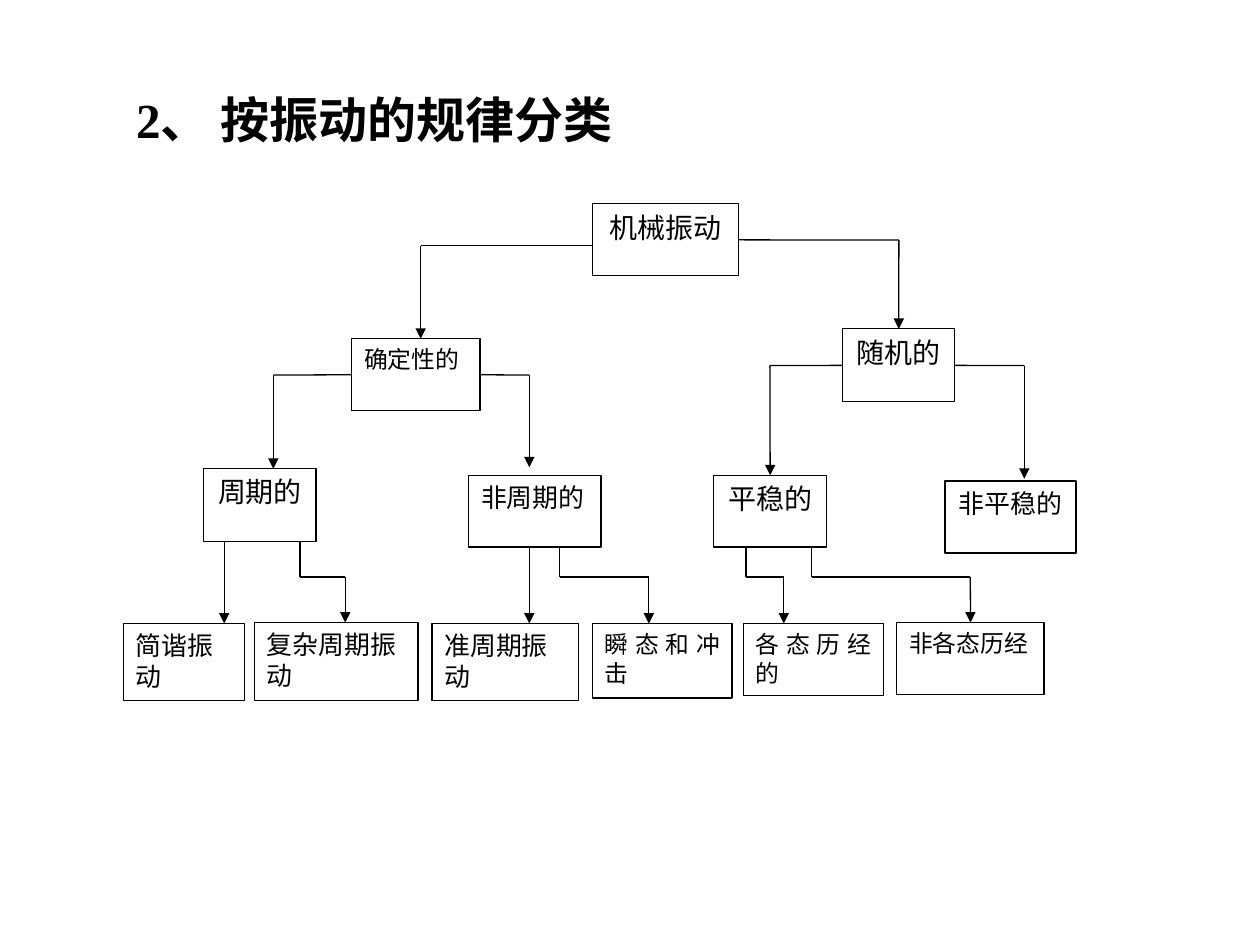
"""Build a slide with a tree that classifies mechanical vibration by its regularity."""
from dataclasses import dataclass
from itertools import pairwise

from lxml.etree import SubElement
from pptx import Presentation
from pptx.dml.color import RGBColor
from pptx.enum.shapes import MSO_CONNECTOR as Connector, MSO_SHAPE as Shape
from pptx.enum.text import MSO_ANCHOR as Anchor, MSO_AUTO_SIZE as AutoSize, PP_ALIGN as Align
from pptx.oxml.ns import qn
from pptx.util import Cm, Pt


@dataclass(frozen=True)
class Theme:
    font: str = "Times New Roman"
    ink: RGBColor = RGBColor(0, 0, 0)
    title: float = 28
    large: float = 16
    medium: float = 14.8
    small: float = 13.6
    line: float = 0.75


theme = Theme()
TOP, LEFT, RIGHT = 0, 1, 3


def style_text(para, size, align, bold=False):
    para.alignment = align
    para.font.name = theme.font
    para.font.size = Pt(size)
    para.font.bold = bold
    para.font.color.rgb = theme.ink


def add_line(page, start, end, arrow):
    line = page.shapes.add_connector(Connector.STRAIGHT, *map(Cm, start + end))
    line.line.color.rgb = theme.ink
    line.line.width = Pt(theme.line)
    if arrow:
        SubElement(line.line._get_or_add_ln(), qn("a:tailEnd"), type="triangle")
    SubElement(line._element.spPr, qn("a:effectLst"))
    return line


deck = Presentation()
deck.slide_width, deck.slide_height = Cm(25.4), Cm(19.05)
page = deck.slides.add_slide(deck.slide_layouts[5])

title = page.shapes.title
title.left, title.top, title.width, title.height = Cm(2.49), Cm(1.32), Cm(21.59), Cm(1.8)
title.text_frame.text = "2、 按振动的规律分类"
title.text_frame.auto_size = AutoSize.NONE
title.text_frame.vertical_anchor = Anchor.BOTTOM
style_text(title.text_frame.paragraphs[0], theme.title, Align.LEFT, bold=True)

nodes = [
    ("机械振动", 11.94, 4.11, 2.95, 1.45, theme.large, Align.CENTER),
    ("确定性的", 7.09, 6.83, 2.59, 1.45, theme.small, Align.LEFT),
    ("随机的", 16.99, 6.63, 2.26, 1.47, theme.large, Align.CENTER),
    ("周期的", 4.11, 9.45, 2.26, 1.47, theme.large, Align.CENTER),
    ("非周期的", 9.45, 9.58, 2.67, 1.45, theme.medium, Align.JUSTIFY),
    ("平稳的", 14.38, 9.58, 2.29, 1.45, theme.large, Align.CENTER),
    ("非平稳的", 19.05, 9.7, 2.64, 1.45, theme.medium, Align.CENTER),
    ("简谐振动", 2.49, 12.57, 2.44, 1.55, theme.medium, Align.LEFT),
    ("复杂周期振动", 5.13, 12.55, 3.3, 1.57, theme.medium, Align.LEFT),
    ("准周期振动", 8.71, 12.57, 2.95, 1.55, theme.medium, Align.LEFT),
    ("瞬态和冲击", 11.94, 12.57, 2.82, 1.5, theme.small, Align.JUSTIFY),
    ("各态历经的", 14.99, 12.57, 2.82, 1.45, theme.small, Align.JUSTIFY),
    ("非各态历经", 18.08, 12.55, 2.97, 1.45, theme.small, Align.JUSTIFY),
]
boxes = {}
for label, left, top, width, height, size, align in nodes:
    box = page.shapes.add_shape(Shape.RECTANGLE, Cm(left), Cm(top), Cm(width), Cm(height))
    box.shadow.inherit = False
    box.fill.background()
    box.line.color.rgb = theme.ink
    box.line.width = Pt(theme.line)
    frame = box.text_frame
    frame.word_wrap = True
    frame.vertical_anchor = Anchor.TOP
    frame.text = label
    style_text(frame.paragraphs[0], size, align)
    boxes[label] = box

fork = 11.63
routes = [
    ([(11.94, 4.95), (8.48, 4.95), (8.48, 6.83)], None, None),
    ([(14.89, 4.84), (18.12, 4.84), (18.12, 6.63)], ("机械振动", RIGHT), ("随机的", TOP)),
    ([(7.09, 7.56), (5.51, 7.56), (5.51, 9.45)], ("确定性的", LEFT), None),
    ([(9.68, 7.56), (10.67, 7.56), (10.67, 9.42)], ("确定性的", RIGHT), None),
    ([(16.99, 7.37), (15.52, 7.37), (15.52, 9.58)], ("随机的", LEFT), ("平稳的", TOP)),
    ([(19.25, 7.37), (20.65, 7.37), (20.65, 9.65)], ("随机的", RIGHT), None),
    ([(4.52, 10.92), (4.52, 12.57)], None, None),
    ([(6.05, 10.92), (6.05, fork), (6.96, fork), (6.96, 12.55)], None, None),
    ([(10.67, 11.03), (10.67, 12.57)], None, None),
    ([(11.28, 11.03), (11.28, fork), (13.08, fork), (13.08, 12.57)], None, None),
    ([(15.04, 11.03), (15.04, fork), (15.8, fork), (15.8, 12.57)], None, None),
    ([(16.36, 11.03), (16.36, fork), (19.56, fork), (19.56, 12.55)], None, ("非各态历经", TOP)),
]
for points, source, target in routes:
    legs = list(pairwise(points))
    lines = [add_line(page, start, end, end == points[-1]) for start, end in legs]
    if source:
        lines[0].begin_connect(boxes[source[0]], source[1])
    if target:
        lines[-1].end_connect(boxes[target[0]], target[1])

deck.save("out.pptx")
